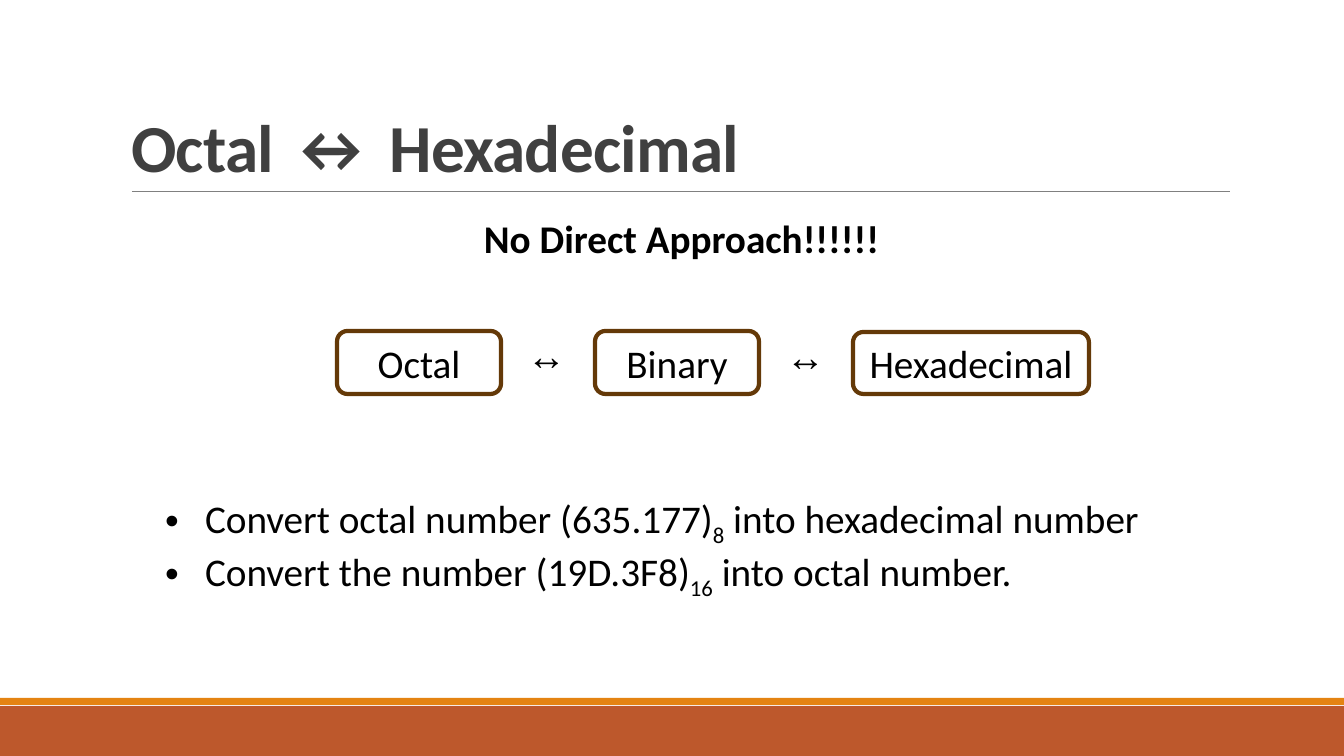
from pptx import Presentation
from pptx.dml.color import RGBColor
from pptx.enum.shapes import MSO_CONNECTOR, MSO_SHAPE
from pptx.enum.text import MSO_ANCHOR, MSO_AUTO_SIZE, PP_ALIGN
from pptx.oxml.ns import qn
from pptx.util import Emu, Pt
from lxml.etree import SubElement

EMU_PER_PX = 914400 / 100.8
ARROW = "↔"


def px(n):
    return Emu(round(n * EMU_PER_PX))


def rgb(value):
    return RGBColor.from_string(value)


def style(p, size=28, color="000000", bold=False, font="Calibri"):
    for r in p.runs:
        r.font.size = Pt(size)
        r.font.name = font
        r.font.bold = bold
        r.font.color.rgb = rgb(color)


def place(sp, x, y, w, h):
    sp.left, sp.top, sp.width, sp.height = px(x), px(y), px(w), px(h)


def add_band(s, y, h, color):
    sp = s.shapes.add_shape(MSO_SHAPE.RECTANGLE, 0, px(y), px(1344), px(h))
    sp.shadow.inherit = False
    sp.fill.solid()
    sp.fill.fore_color.rgb = rgb(color)
    sp.line.fill.background()


def add_rule(s, x1, x2, y):
    line = s.shapes.add_connector(MSO_CONNECTOR.STRAIGHT, px(x1), px(y), px(x2), px(y))
    line.line.color.rgb = rgb("808080")
    line.line.width = Pt(0.5)
    SubElement(line._element.spPr, qn("a:effectLst"))


def set_title(s, text):
    title = s.shapes.title
    place(title, 121, 31, 1109, 160)
    tf = title.text_frame
    tf.text = text
    tf.auto_size = MSO_AUTO_SIZE.NONE
    tf.vertical_anchor = MSO_ANCHOR.BOTTOM
    p = tf.paragraphs[0]
    p.alignment = PP_ALIGN.LEFT
    p.line_spacing = 0.85
    style(p, 48, "404040", True)
    for r in p.runs:
        r.font._element.set("spc", "-50")


def add_label(s, x, y, w, text, font="Calibri"):
    tf = s.shapes.add_textbox(px(x), px(y), px(w), px(57)).text_frame
    tf.word_wrap = True
    tf.text = text
    style(tf.paragraphs[0], bold=True, font=font)


def add_box(s, x, y, w, h, text):
    sp = s.shapes.add_shape(MSO_SHAPE.ROUNDED_RECTANGLE, px(x), px(y), px(w), px(h))
    sp.shadow.inherit = False
    sp.fill.background()
    sp.line.color.rgb = rgb("643908")
    sp.line.width = Pt(3)
    tf = sp.text_frame
    tf.text = text
    tf.vertical_anchor = MSO_ANCHOR.MIDDLE
    p = tf.paragraphs[0]
    p.alignment = PP_ALIGN.CENTER
    style(p)


def set_exercises(s, exercises):
    body = s.placeholders[1]
    place(body, 155, 489, 1034, 105)
    tf = body.text_frame
    tf.auto_size = MSO_AUTO_SIZE.NONE
    for i, (before, base, after) in enumerate(exercises):
        p = tf.add_paragraph() if i else tf.paragraphs[0]
        for text in (before, base, after):
            p.add_run().text = text
        style(p)
        p.runs[1].font._element.set("baseline", "-25000")
        p.space_before = Pt(0)
        pPr = p._p.get_or_add_pPr()
        pPr.set("marL", str(px(40)))
        pPr.set("indent", str(-px(40)))
        SubElement(pPr, qn("a:buFont")).set("typeface", "Arial")
        SubElement(pPr, qn("a:buChar")).set("char", "•")


def main():
    prs = Presentation()
    prs.slide_width, prs.slide_height = px(1344), px(756)
    s = prs.slides.add_slide(prs.slide_layouts[1])

    add_band(s, 706, 50, "BD582C")
    add_band(s, 698, 7, "E48312")
    add_rule(s, 132, 1230, 191)
    set_title(s, f"Octal {ARROW} Hexadecimal")
    add_label(s, 474, 209, 424, "No Direct Approach!!!!!!")

    add_box(s, 337, 331, 164, 63, "Octal")
    add_box(s, 595, 331, 164, 63, "Binary")
    add_box(s, 853, 332, 236, 62, "Hexadecimal")
    for x, y in ((517, 331), (776, 332)):
        add_label(s, x, y, 52, ARROW, "Arial Narrow")

    set_exercises(s, [
        ("Convert octal number (635.177)", "8", " into hexadecimal number"),
        ("Convert the number (19D.3F8)", "16", " into octal number."),
    ])
    prs.save("out.pptx")


if __name__ == "__main__":
    main()
